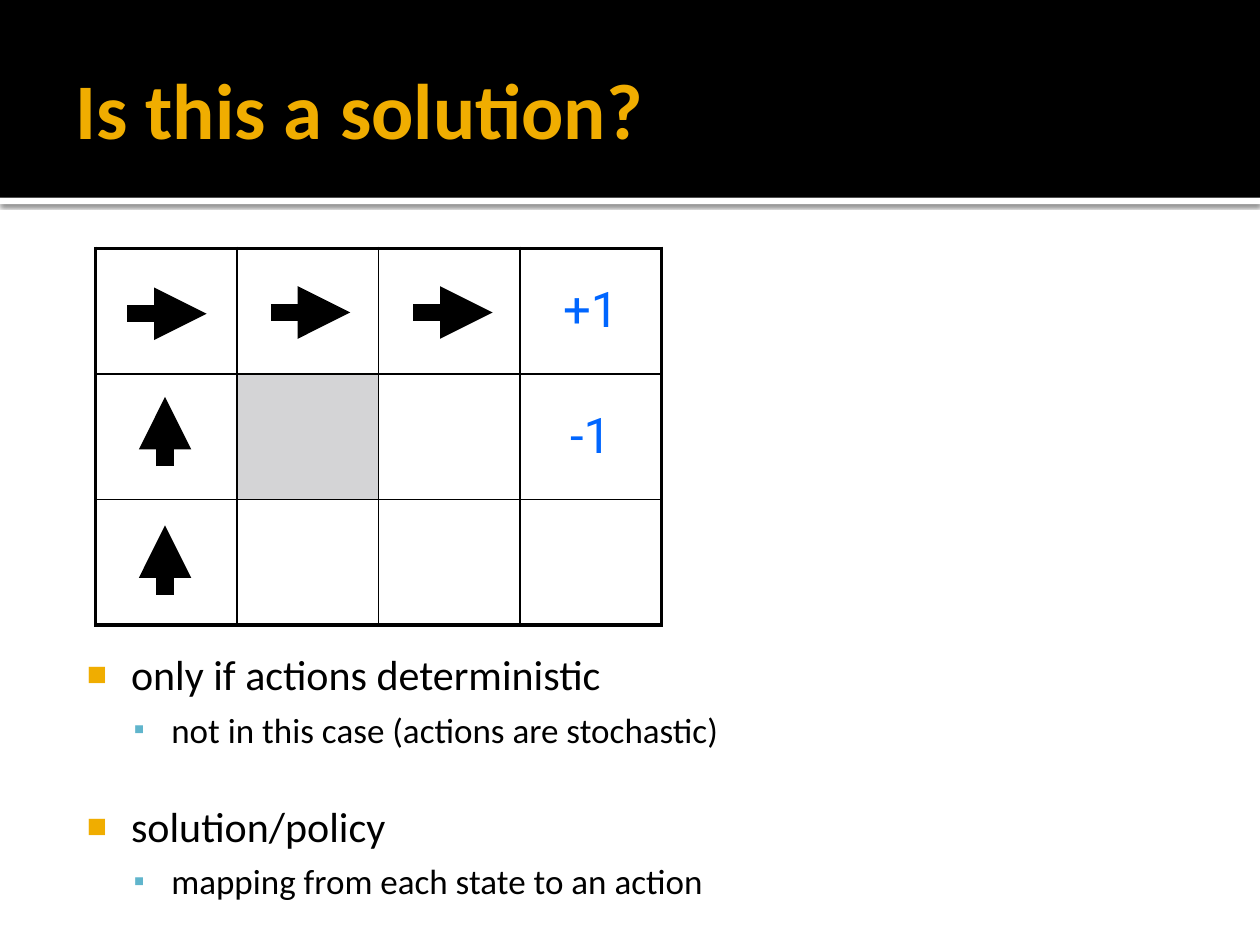
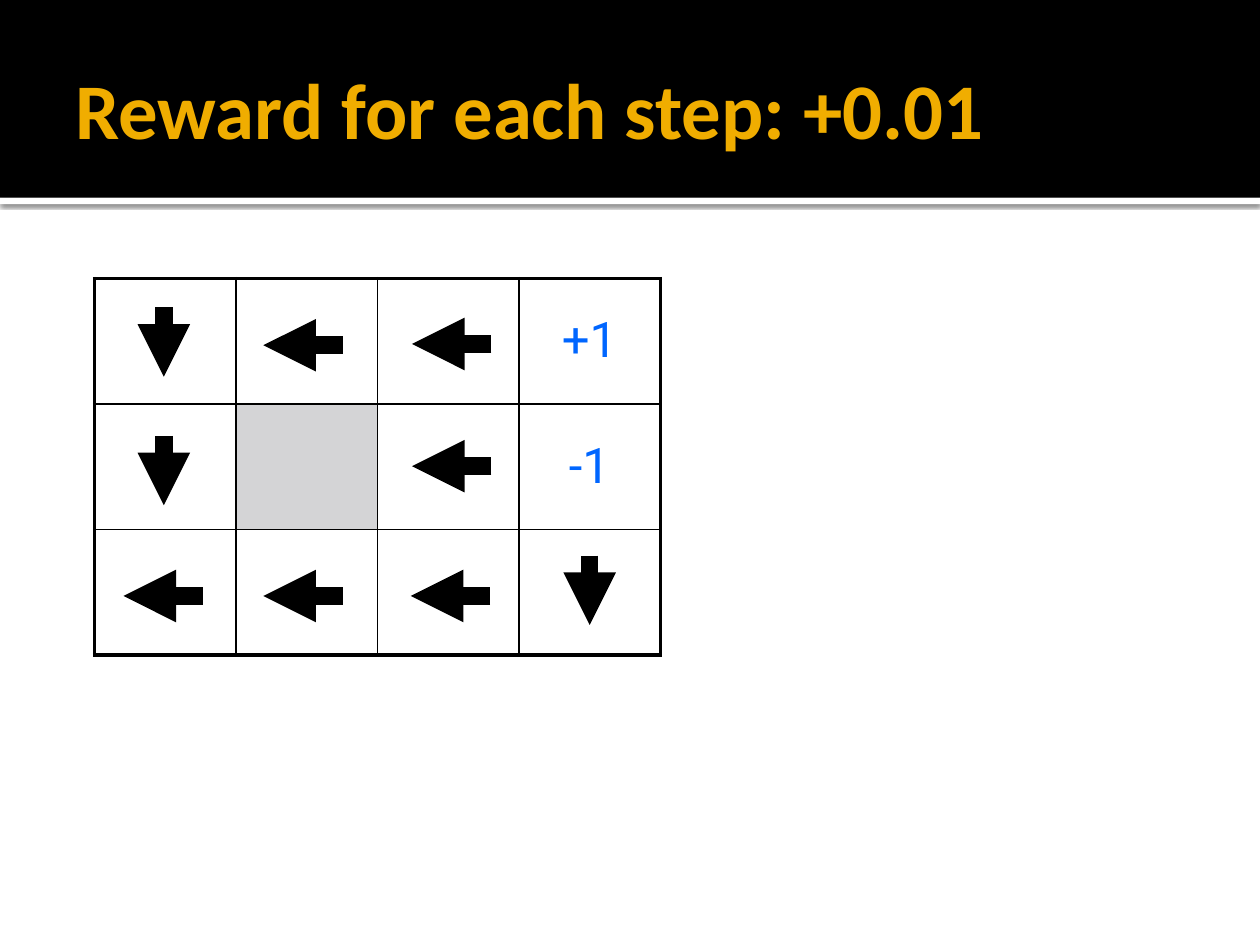
from lxml import etree
from pptx import Presentation
from pptx import util as u
from pptx.dml.color import RGBColor
from pptx.enum import shapes, text
from pptx.oxml.ns import qn

BLACK, WHITE = "000000", "FFFFFF"
GOLD, TEAL, BLUE, GRAY = "F0AD00", "60B5CC", "0066FF", "D4D4D6"
BODY_FONT, GRID_FONT = "Calibri", "Roboto"

ROWS, COLS = 3, 4
GRID_WIDTH, GRID_HEIGHT = 4.49, 2.99
REWARDS = {(0, 3): "+1", (1, 3): "-1"}
WALL = (1, 1)
THIN, THICK = 1, 2.25

# Horizontal and vertical reach of an arrow in each direction
STEPS = {"right": (0.63, 0), "left": (-0.63, 0), "up": (0, -0.55), "down": (0, 0.55)}

# Bullet sign, colour, size in percent, left margin, hanging indent, text size
BULLETS = [("■", GOLD, 80, 0.48, 0.35, 24), ("▪", TEAL, 90, 0.8, 0.3, 20)]


def color(value):
    return RGBColor.from_string(value)


def child(parent, tag, **attributes):
    """Append a drawing element with the given attributes."""
    node = etree.SubElement(parent, qn("a:" + tag))
    for name, value in attributes.items():
        node.set(name, str(value))
    return node


def solid(parent, value):
    return child(child(parent, "solidFill"), "srgbClr", val=value)


def place(item, left, top, width, height):
    item.left, item.top = u.Inches(left), u.Inches(top)
    item.width, item.height = u.Inches(width), u.Inches(height)


def set_frame(frame, left, top, right, bottom, anchor):
    frame.margin_left, frame.margin_top = u.Inches(left), u.Inches(top)
    frame.margin_right, frame.margin_bottom = u.Inches(right), u.Inches(bottom)
    frame.vertical_anchor = anchor
    frame.word_wrap = True
    frame.auto_size = text.MSO_AUTO_SIZE.NONE


def add_span(para, words, size, font, fill, bold=False):
    span = para.add_run()
    span.text = words
    span.font.size, span.font.name, span.font.bold = u.Pt(size), font, bold
    span.font.color.rgb = color(fill)


def add_band(slide, top, height, fill):
    band = slide.shapes.add_shape(shapes.MSO_SHAPE.RECTANGLE, 0, u.Inches(top),
                                  u.Inches(10), u.Inches(height))
    band.shadow.inherit = False
    band.fill.solid()
    band.fill.fore_color.rgb = color(fill)
    band.line.fill.background()
    return band


def add_master_bands(deck, slide):
    """Move the header band and its shadowed edge behind everything in the master."""
    edge = add_band(slide, 1.57, 0.05, WHITE)
    effects = edge.element.spPr.find(qn("a:effectLst"))
    shadow = child(effects, "outerShdw", blurRad=u.Pt(2.5), dist=u.Pt(0.8),
                   dir=90 * 60000, algn="tl", rotWithShape=0)
    child(child(shadow, "srgbClr", val=BLACK), "alpha", val=60000)
    header = add_band(slide, 0, 1.57, BLACK)
    tree = deck.slide_master.shapes.element
    for index, band in enumerate((edge, header), start=2):
        tree.insert(index, band.element)


def set_title(slide, words):
    title = slide.shapes.title
    place(title, 0.5, 0.17, 9, 1.37)
    set_frame(title.text_frame, 0.1, 0.05, 0.05, 0.05, text.MSO_ANCHOR.MIDDLE)
    para = title.text_frame.paragraphs[0]
    para.alignment = text.PP_ALIGN.LEFT
    add_span(para, words, 45, BODY_FONT, GOLD, bold=True)


def set_borders(cell, row, col):
    """Thick lines around the grid, thin lines inside it."""
    outer = {"L": col == 0, "R": col == COLS - 1, "T": row == 0, "B": row == ROWS - 1}
    properties = cell._tc.get_or_add_tcPr()
    for side, is_outer in outer.items():
        border = child(properties, "ln" + side, w=u.Pt(THICK if is_outer else THIN))
        solid(border, BLACK)


def add_grid(slide, left, top):
    table = slide.shapes.add_table(ROWS, COLS, u.Inches(left), u.Inches(top),
                                   u.Inches(GRID_WIDTH), u.Inches(GRID_HEIGHT)).table
    table.first_row = table.horz_banding = False
    for row in range(ROWS):
        for col in range(COLS):
            cell = table.cell(row, col)
            set_borders(cell, row, col)
            if (row, col) == WALL:
                cell.fill.solid()
                cell.fill.fore_color.rgb = color(GRAY)
            else:
                cell.fill.background()
            if (row, col) in REWARDS:
                cell.vertical_anchor = text.MSO_ANCHOR.MIDDLE
                para = cell.text_frame.paragraphs[0]
                para.alignment = text.PP_ALIGN.CENTER
                add_span(para, REWARDS[row, col], 28, GRID_FONT, BLUE)


def add_arrow(slide, x, y, direction):
    across, down = STEPS[direction]
    arrow = slide.shapes.add_connector(
        shapes.MSO_CONNECTOR.STRAIGHT, u.Inches(x), u.Inches(y),
        u.Inches(x + across), u.Inches(y + down))
    arrow.line.width = u.Pt(10)
    arrow.line.color.rgb = color(BLACK)
    child(arrow.line._get_or_add_ln(), "tailEnd", type="triangle")
    child(arrow.element.spPr, "effectLst")


def fill_body(slide, items):
    """Write (level, space before in points, words) items as a bulleted list."""
    body = slide.placeholders[1]
    place(body, 0.5, 5.05, 9, 2.24)
    frame = body.text_frame
    set_frame(frame, 0.06, 0.1, 0.1, 0.05, text.MSO_ANCHOR.TOP)
    for index, (level, space, words) in enumerate(items):
        para = frame.add_paragraph() if index else frame.paragraphs[0]
        sign, fill, percent, margin, hanging, size = BULLETS[level]
        properties = para._p.get_or_add_pPr()
        properties.set("marL", str(u.Inches(margin)))
        properties.set("indent", str(-u.Inches(hanging)))
        child(child(properties, "buClr"), "srgbClr", val=fill)
        child(properties, "buSzPct", val=percent * 1000)
        child(properties, "buChar", char=sign)
        para.level = level
        para.space_before = u.Pt(space)
        add_span(para, words, size, BODY_FONT, BLACK)


def add_policy_slide(deck, layout, title, grid_corner, arrows):
    slide = deck.slides.add_slide(deck.slide_layouts[layout])
    set_title(slide, title)
    add_grid(slide, *grid_corner)
    for arrow in arrows:
        add_arrow(slide, *arrow)
    return slide


def main():
    deck = Presentation()
    deck.slide_width, deck.slide_height = u.Inches(10), u.Inches(7.5)

    # Candidate solution with its conditions
    solution = add_policy_slide(deck, 1, "Is this a solution?", (0.76, 1.97), [
        (1.01, 2.49, "right"), (2.15, 2.48, "right"), (3.28, 2.48, "right"),
        (1.31, 3.7, "up"), (1.31, 4.72, "up"),
    ])
    fill_body(solution, [
        (0, 0, "only if actions deterministic"),
        (1, 5, "not in this case (actions are stochastic)"),
        (0, 29, "solution/policy"),
        (1, 5, "mapping from each state to an action"),
    ])
    add_master_bands(deck, solution)

    # Policy under a positive step reward
    add_policy_slide(deck, 5, "Reward for each step: +0.01", (0.75, 2.21), [
        (1.3, 2.44, "down"), (2.72, 2.74, "left"), (3.9, 2.73, "left"),
        (1.3, 3.46, "down"), (3.9, 3.7, "left"),
        (1.61, 4.73, "left"), (2.72, 4.73, "left"), (3.89, 4.73, "left"),
        (4.68, 4.41, "down"),
    ])

    deck.save("out.pptx")


if __name__ == "__main__":
    main()
